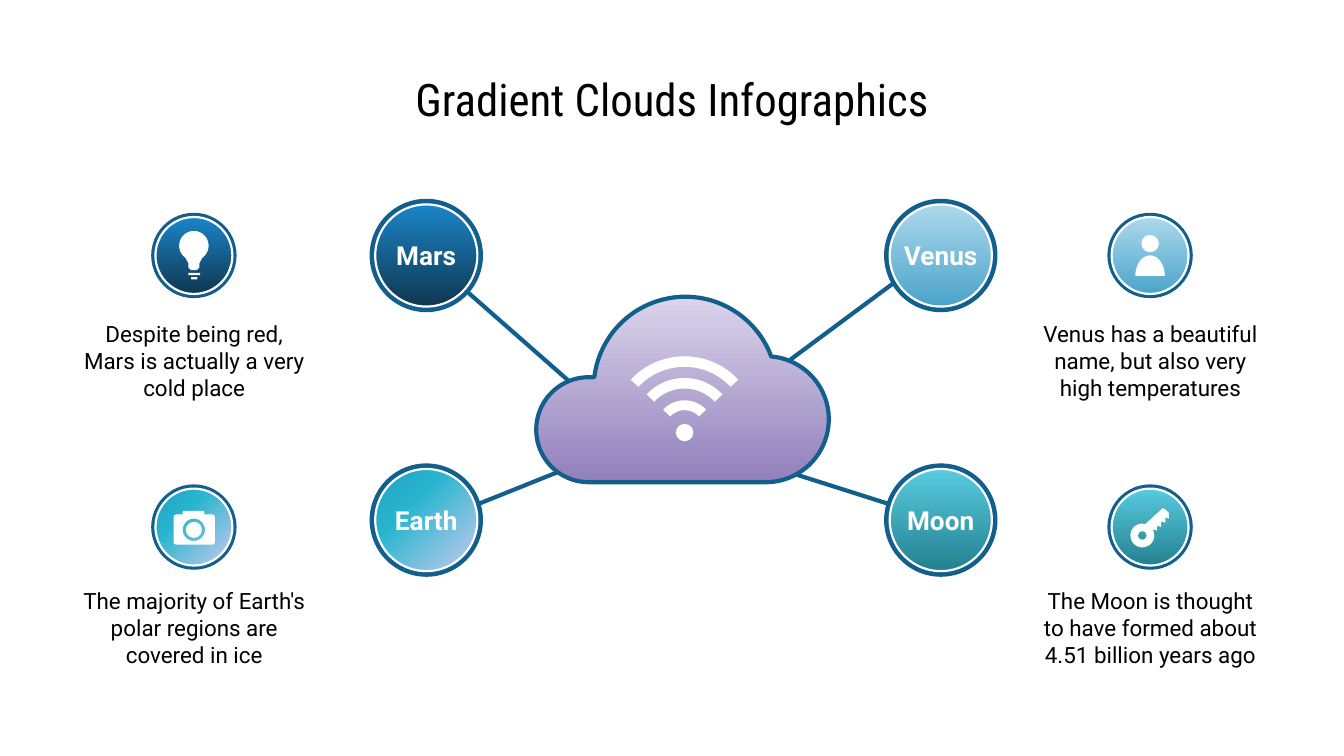
from copy import deepcopy
from dataclasses import dataclass
from math import cos, radians, sin

from pptx import Presentation
from pptx.dml.color import RGBColor as Rgb
from pptx.enum.shapes import MSO_CONNECTOR as Conn, MSO_SHAPE as Kind
from pptx.enum.text import MSO_ANCHOR as Anchor, PP_ALIGN as Align
from pptx.oxml.ns import qn
from pptx.util import Emu, Pt
from lxml.etree import SubElement

SCALE = 4762.5  # EMU in one px, 192 px to the inch
INK = {"navy": "125E8D", "white": "FFFFFF", "black": "000000"}
Stops = tuple[tuple[int, str], ...]
Point = tuple[float, float]
CLOUD: Stops = ((0, "DBD4EB"), (100, "9180BB"))


@dataclass
class Planet:
    name: str
    note: str
    node: tuple[int, int]  # centre of the named circle
    icon: tuple[int, int]  # centre of the icon circle
    top: int               # top of the note
    link: tuple[int, int, int, int]
    stops: Stops
    angle: int = 270


PLANETS = [
    Planet("Mars", "Despite being red, Mars is actually a very cold place",
           (609, 365), (277, 365), 442, (637, 390, 851, 578),
           ((0, "1A85C8"), (100, "0F3750"))),
    Planet("Venus", "Venus has a beautiful name, but also very high temperatures",
           (1344, 365), (1643, 365), 442, (1296, 390, 1071, 557),
           ((0, "ADD8EB"), (100, "4BA4CA"))),
    Planet("Earth", "The majority of Earth's polar regions are covered in ice",
           (609, 743), (277, 753), 824, (651, 733, 803, 672),
           ((0, "C9C9EE"), (66, "27B5CE"), (100, "229FBF")), 135),
    Planet("Moon", "The Moon is thought to have formed about 4.51 billion years ago",
           (1344, 743), (1643, 753), 824, (1317, 735, 1125, 674),
           ((0, "58CBDF"), (100, "238191"))),
]


def px(num: float) -> Emu:
    return Emu(round(num * SCALE))


def ink(name: str) -> Rgb:
    return Rgb.from_string(INK[name])


def shade(shape, stops: Stops, angle: int) -> None:
    """Fill with a linear gradient of two or more stops."""
    shape.fill.gradient()
    shape.fill.gradient_angle = angle
    first = shape.element.find(".//" + qn("a:gs"))
    for _ in stops[2:]:
        first.addnext(deepcopy(first))
    for stop, (pos, tint) in zip(shape.fill.gradient_stops, stops):
        stop.position = pos / 100
        stop.color.rgb = Rgb.from_string(tint)


def paint(shape, tint: str = "white"):
    shape.shadow.inherit = False
    shape.fill.solid()
    shape.fill.fore_color.rgb = ink(tint)
    shape.line.fill.background()
    return shape


def edge(shape, tint: str, width: float) -> None:
    shape.line.color.rgb = ink(tint)
    shape.line.width = Pt(width)


def disc(x: int, y: int, size: int, tint: str = "white"):
    half = size / 2
    return paint(shapes.add_shape(
        Kind.OVAL, px(x - half), px(y - half), px(size), px(size)), tint)


def bar(x: int, y: int, wide: int, high: int) -> None:
    paint(shapes.add_shape(
        Kind.ROUNDED_RECTANGLE, px(x), px(y), px(wide), px(high)))


def arc(x: float, y: float, rx: float, ry: float,
        start: float, end: float) -> list[Point]:
    """Points on an ellipse; angles run clockwise from the right."""
    count = 40
    turns = [radians(start + (end - start) * i / count) for i in range(count + 1)]
    return [(x + rx * cos(t), y + ry * sin(t)) for t in turns]


def form(*rings: list[Point]):
    """Closed outline; any later ring is a hole."""
    paths = [[(px(x), px(y)) for x, y in ring] for ring in rings]
    pen = shapes.build_freeform(*paths[0][0], scale=1.0)
    for path in paths:
        if path is not paths[0]:
            pen.move_to(*path[0])
        pen.add_line_segments(path[1:], close=True)
    return paint(pen.convert_to_shape())


def style(frame, size: int, font: str, tint: str, bold: bool = False) -> None:
    para = frame.paragraphs[0]
    para.alignment = Align.CENTER
    for run in para.runs:
        run.font.size, run.font.name, run.font.bold = Pt(size), font, bold
        run.font.color.rgb = ink(tint)


def link(ends: tuple[int, int, int, int]) -> None:
    line = shapes.add_connector(Conn.STRAIGHT, *map(px, ends))
    edge(line, "navy", 2.25)
    SubElement(line.element.spPr, qn("a:effectLst"))


def badge(x: int, y: int, size: int, rim: int, planet: Planet):
    disc(x, y, rim, "navy")
    face = disc(x, y, size)
    shade(face, planet.stops, planet.angle)
    edge(face, "white", 1.17)
    return face


def draw(planet: Planet) -> None:
    # Named circle
    frame = badge(*planet.node, 146, 162, planet).text_frame
    frame.text = planet.name
    frame.word_wrap = False
    frame.vertical_anchor = Anchor.MIDDLE
    style(frame, 14, "Roboto", "white", True)
    # Icon circle and note
    badge(*planet.icon, 110, 122, planet)
    box = shapes.add_textbox(
        px(planet.icon[0] - 178), px(planet.top), px(357), px(146))
    box.text_frame.text = planet.note
    box.text_frame.word_wrap = True
    box.text_frame.vertical_anchor = Anchor.MIDDLE
    style(box.text_frame, 12, "Roboto", "black")


deck = Presentation()
deck.slide_width, deck.slide_height = px(1920), px(1080)
slide = deck.slides.add_slide(deck.slide_layouts[5])
shapes = slide.shapes

# Title
title = shapes.title
title.left, title.top, title.width, title.height = map(px, (96, 84, 1728, 121))
title.text_frame.text = "Gradient Clouds Infographics"
title.text_frame.vertical_anchor = Anchor.TOP
title.text_frame.margin_top = px(19)
style(title.text_frame, 24, "Roboto Condensed", "black")

# Links lie under the circles and the cloud
for planet in PLANETS:
    link(planet.link)
for planet in PLANETS:
    draw(planet)

# Cloud
cloud = form(arc(841, 614, 75, 75, 90, 270) + arc(979, 555, 131, 131, 187, 339.5)
             + arc(1094, 599, 90, 90, 275, 450))
shade(cloud, CLOUD, 270)
edge(cloud, "navy", 2.25)

# Signal waves
disc(978, 618, 25)
for outer, inner in ((105, 90), (74, 59), (42, 28)):
    form(arc(978, 614, outer, outer, 223, 317) + arc(978, 614, inner, inner, 317, 223))

# Bulb
form(arc(277, 351, 21, 21, 125, 415)
     + [(285, 376), (285, 382), (281, 386), (273, 386), (269, 382), (269, 376)])
bar(269, 390, 17, 3)
bar(273, 396, 9, 3)

# Person
disc(1643, 348, 25)
form(arc(1643, 394, 21, 29, 180, 360))

# Camera
corners = ((252, 739, 180), (303, 739, 270), (303, 774, 0), (252, 774, 90))
body = [spot for x, y, turn in corners for spot in arc(x, y, 4, 4, turn, turn + 90)]
form(body, arc(277, 757, 16, 16, 0, 360))
disc(277, 757, 23)
bar(261, 730, 31, 9)

# Key
form([(1661, 726), (1659, 728), (1636, 749)] + arc(1632, 765, 17, 17, 270, -31)
     + [(1653, 758), (1653, 751), (1659, 753), (1659, 745), (1665, 747),
        (1665, 739), (1670, 741), (1670, 733), (1665, 728)],
     arc(1632, 765, 6, 6, 0, 360))

deck.save("out.pptx")
